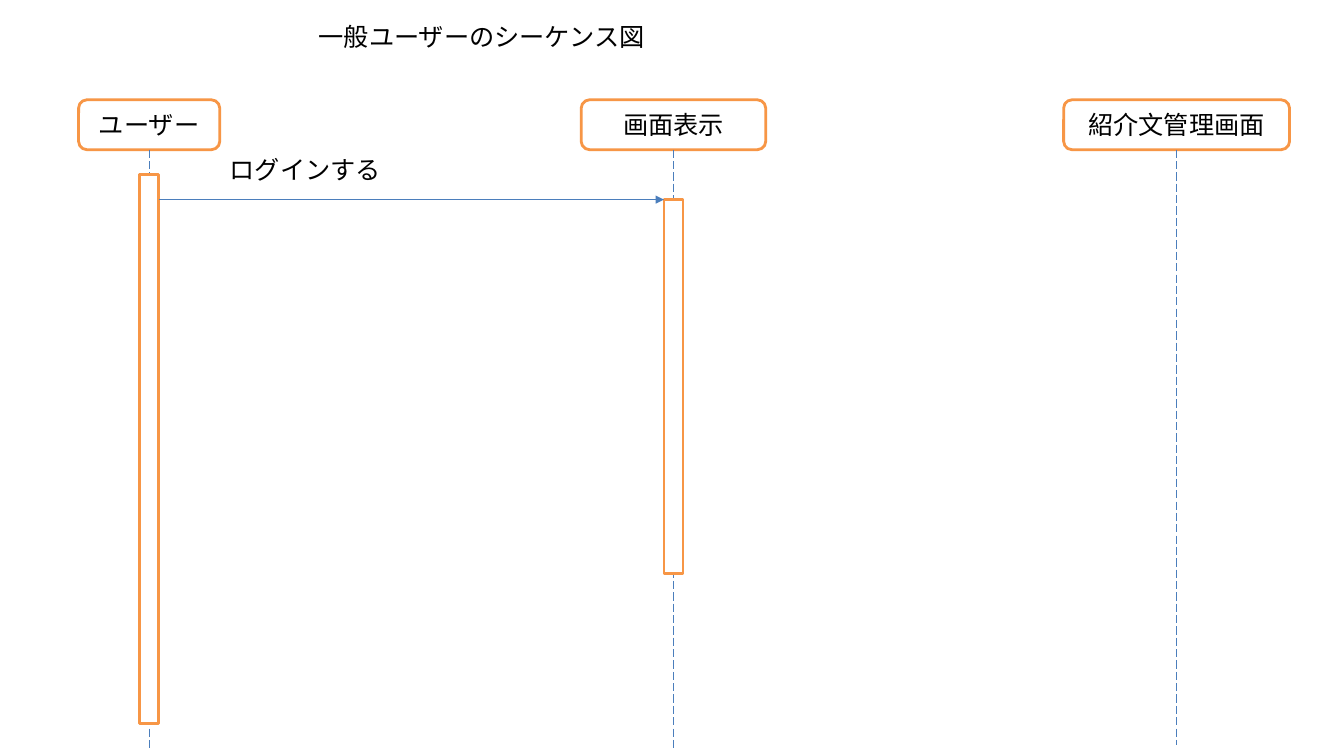
import pptx
import pptx.util
import pptx.dml.color
import pptx.enum.dml
import pptx.enum.shapes
import pptx.enum.text
import pptx.oxml
import pptx.oxml.ns

FONT = "Noto Sans CJK JP"
ORANGE, BLUE, WHITE, BLACK = "F79646", "4B7EBC", "FFFFFF", "000000"
WIDTH, HEIGHT = 13.33, 7.5
ROW = HEIGHT / 30.3
HEAD_TOP, HEAD_BOTTOM = 4 * ROW, 6 * ROW
BAR_WIDTH = 0.19
PARTICIPANTS = [
    ("ユーザー", 1.48, 1.4, 30 * ROW),
    ("画面表示", 6.68, 1.83, 30 * ROW),
    ("紹介文管理画面", 11.67, 2.24, 7.39),
]


def color(hex_string):
    return pptx.dml.color.RGBColor.from_string(hex_string)


def inches(*lengths):
    return [pptx.util.Inches(length) for length in lengths]


def write(shape, text, alignment, anchor):
    frame = shape.text_frame
    frame.word_wrap = True
    frame.auto_size = pptx.enum.text.MSO_AUTO_SIZE.NONE
    frame.vertical_anchor = anchor
    paragraph = frame.paragraphs[0]
    paragraph.alignment = alignment
    run = paragraph.add_run()
    run.text = text
    run.font.size = pptx.util.Pt(18)
    run.font.name = FONT
    run.font.color.rgb = color(BLACK)
    east_asian = pptx.oxml.parse_xml(
        f'<a:ea {pptx.oxml.ns.nsdecls("a")} typeface="{FONT}"/>')
    run.font._element.append(east_asian)


def write_label(shape, text):
    write(shape, text, pptx.enum.text.PP_ALIGN.LEFT, pptx.enum.text.MSO_ANCHOR.TOP)


def add_box(slide, kind, center, top, width, height):
    shape = slide.shapes.add_shape(
        kind, *inches(center - width / 2, top, width, height))
    shape.shadow.inherit = False
    shape.fill.solid()
    shape.fill.fore_color.rgb = color(WHITE)
    shape.line.color.rgb = color(ORANGE)
    shape.line.width = pptx.util.Pt(2)
    return shape


def add_line(slide, *ends):
    line = slide.shapes.add_connector(
        pptx.enum.shapes.MSO_CONNECTOR.STRAIGHT, *inches(*ends))
    line.line.color.rgb = color(BLUE)
    line.line.width = pptx.util.Pt(0.75)
    line._element.spPr.append(pptx.oxml.parse_xml(
        f'<a:effectLst {pptx.oxml.ns.nsdecls("a")}/>'))
    return line


def add_participant(slide, name, center, width, bottom):
    head = add_box(slide, pptx.enum.shapes.MSO_SHAPE.ROUNDED_RECTANGLE,
                   center, HEAD_TOP, width, HEAD_BOTTOM - HEAD_TOP)
    write(head, name, pptx.enum.text.PP_ALIGN.CENTER, pptx.enum.text.MSO_ANCHOR.MIDDLE)
    lifeline = add_line(slide, center, HEAD_BOTTOM, center, bottom)
    lifeline.line.dash_style = pptx.enum.dml.MSO_LINE.LONG_DASH


def add_activation(slide, center, first_row, last_row):
    add_box(slide, pptx.enum.shapes.MSO_SHAPE.RECTANGLE, center,
            first_row * ROW, BAR_WIDTH, (last_row - first_row) * ROW)


def add_message(slide, text, sender, receiver, row):
    arrow = add_line(slide, sender + BAR_WIDTH / 2, row * ROW,
                     receiver - BAR_WIDTH / 2, row * ROW)
    arrow.line._get_or_add_ln().append(pptx.oxml.parse_xml(
        f'<a:tailEnd {pptx.oxml.ns.nsdecls("a")} type="triangle"/>'))
    label = slide.shapes.add_textbox(
        *inches(sender + 0.7, (row - 2) * ROW, 1.81, 0.4))
    write_label(label, text)


def add_title(slide, text):
    title = slide.shapes.title
    title.left, title.top, title.width, title.height = inches(3.06, 0.16, 6.79, 0.4)
    write_label(title, text)


def main():
    presentation = pptx.Presentation()
    presentation.slide_width, presentation.slide_height = inches(WIDTH, HEIGHT)
    slide = presentation.slides.add_slide(presentation.slide_layouts[5])
    add_title(slide, "一般ユーザーのシーケンス図")
    for participant in PARTICIPANTS:
        add_participant(slide, *participant)
    user, display = PARTICIPANTS[0][1], PARTICIPANTS[1][1]
    add_activation(slide, user, 7, 29)
    add_activation(slide, display, 8, 23)
    add_message(slide, "ログインする", user, display, 8)
    presentation.save("out.pptx")


main()
